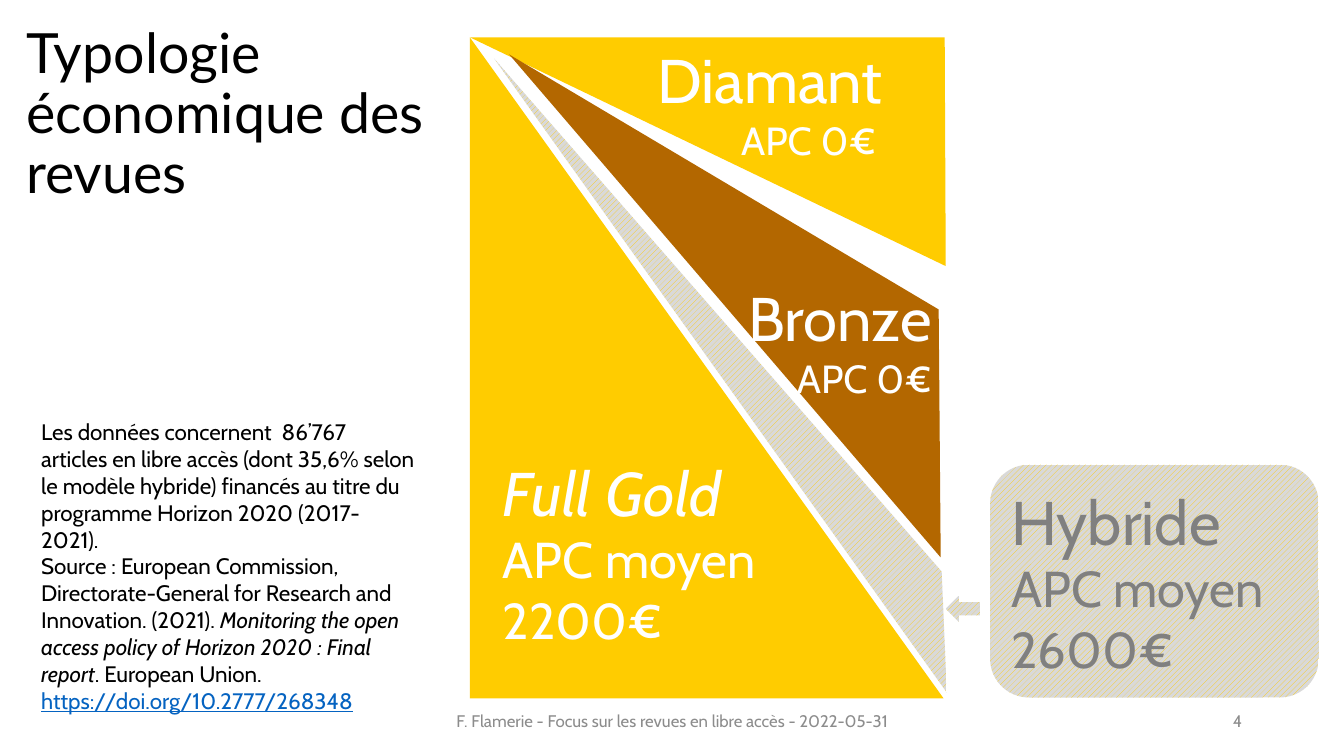
from pptx import Presentation
from pptx import util as u
from pptx.dml.color import RGBColor
from pptx.enum import dml, shapes, text

COLORS = {
    "gold": "FFCC00",
    "bronze": "B36700",
    "silver": "D9D9D9",
    "white": "FFFFFF",
    "black": "000000",
    "hybrid": "808080",
    "footer": "8C8C8C",
    "link": "0563C1",
}
LEFT, CENTER, RIGHT = text.PP_ALIGN.LEFT, text.PP_ALIGN.CENTER, text.PP_ALIGN.RIGHT
TOP, MIDDLE = text.MSO_ANCHOR.TOP, text.MSO_ANCHOR.MIDDLE


def rgb(name):
    """Return the named colour."""
    return RGBColor.from_string(COLORS[name])


def paint(figure, color):
    """Fill a figure with a plain colour, or with gold stripes for "stripes"."""
    figure.shadow.inherit = False
    figure.line.fill.background()
    if color == "stripes":
        figure.fill.patterned()
        figure.fill.pattern = dml.MSO_PATTERN.WIDE_UPWARD_DIAGONAL
        figure.fill.fore_color.rgb = rgb("gold")
        figure.fill.back_color.rgb = rgb("silver")
    else:
        figure.fill.solid()
        figure.fill.fore_color.rgb = rgb(color)


def add_preset(slide, kind, box, color):
    """Add a filled preset shape."""
    figure = slide.shapes.add_shape(kind, *map(u.Inches, box))
    paint(figure, color)
    return figure


def add_wedge(slide, points, color):
    """Add a filled polygon through the given points."""
    start, *others = [(u.Inches(x), u.Inches(y)) for x, y in points]
    builder = slide.shapes.build_freeform(*start)
    builder.add_line_segments(others, close=True)
    paint(builder.convert_to_shape(), color)


def write(frame, lines, color, font="Cabin", anchor=TOP):
    """Write lines of (words, size, alignment, italic) into a text frame."""
    frame.word_wrap = True
    frame.vertical_anchor = anchor
    for index, (words, size, align, italic) in enumerate(lines):
        paragraph = frame.add_paragraph() if index else frame.paragraphs[0]
        paragraph.alignment = align
        paragraph.font.name = font
        paragraph.font.size = u.Pt(size)
        paragraph.font.italic = italic
        paragraph.font.color.rgb = rgb(color)
        paragraph.add_run().text = words
    return frame


def add_label(slide, box, lines, color, **style):
    """Add a text box holding the given lines."""
    label = slide.shapes.add_textbox(*map(u.Inches, box))
    return write(label.text_frame, lines, color, **style)


def add_source_note(slide):
    """Add the note on the data and its source."""
    note = add_label(slide, (0.31, 4.1, 3.92, 2.79), [
        ("Les données concernent  86’767 articles en libre accès (dont 35,6% selon le "
         "modèle hybride) financés au titre du programme Horizon 2020 (2017-2021).",
         16, LEFT, False),
        ("Source : European Commission, Directorate-General for Research and "
         "Innovation. (2021). ", 16, LEFT, False),
    ], "black")
    citation = note.paragraphs[1]
    report = citation.add_run()
    report.text = "Monitoring the open access policy of Horizon 2020 : Final report"
    report.font.italic = True
    citation.add_run().text = ". European Union. "
    address = citation.add_run()
    address.text = "https://doi.org/10.2777/268348"
    address.font.underline = True
    address.font.color.rgb = rgb("link")


def main():
    """Build the slide and save it."""
    deck = Presentation()
    deck.slide_width, deck.slide_height = u.Inches(13.33), u.Inches(7.5)
    slide = deck.slides.add_slide(deck.slide_layouts[6])
    preset = shapes.MSO_SHAPE

    add_preset(slide, preset.RIGHT_TRIANGLE, (4.66, 0.37, 4.7, 6.56), "gold")
    add_wedge(slide, [(4.66, 0.37), (9.37, 0.37), (9.38, 2.64)], "gold")
    add_wedge(slide, [(4.9, 0.58), (9.34, 5.67), (9.39, 6.87)], "stripes")
    add_wedge(slide, [(5.05, 0.54), (9.31, 3.07), (9.33, 5.53)], "bronze")

    add_label(slide, (6.42, 0.37, 3.2, 1.62),
              [("Diamant", 44, LEFT, False), ("APC 0€", 28, CENTER, False)], "white")
    add_label(slide, (4.89, 4.46, 3.04, 2.79),
              [("Full Gold", 44, LEFT, True), ("APC moyen 2200€", 36, LEFT, False)], "white")
    add_label(slide, (7.23, 2.73, 2.11, 1.31),
              [("Bronze", 44, RIGHT, False), ("APC 0€", 28, RIGHT, False)], "white")

    hybrid = add_preset(slide, preset.ROUNDED_RECTANGLE, (9.82, 4.61, 3.26, 2.31), "stripes")
    write(hybrid.text_frame,
          [("Hybride", 44, LEFT, False), ("APC moyen 2600€", 36, LEFT, False)],
          "hybrid", anchor=MIDDLE)
    add_preset(slide, preset.LEFT_ARROW, (9.38, 5.91, 0.34, 0.26), "stripes")

    add_source_note(slide)
    title = add_label(slide, (0.16, 0.42, 4.49, 1.45),
                      [("Typologie économique des revues", 39.6, LEFT, False)],
                      "black", font="Lato", anchor=MIDDLE)
    title.paragraphs[0].line_spacing = 0.9
    add_label(slide, (4.42, 6.95, 4.5, 0.4),
              [("F. Flamerie - Focus sur les revues en libre accès - 2022-05-31",
                12, CENTER, False)], "footer", anchor=MIDDLE)
    add_label(slide, (9.42, 6.95, 3, 0.4), [("4", 12, RIGHT, False)],
              "footer", anchor=MIDDLE)

    deck.save("out.pptx")


if __name__ == "__main__":
    main()
